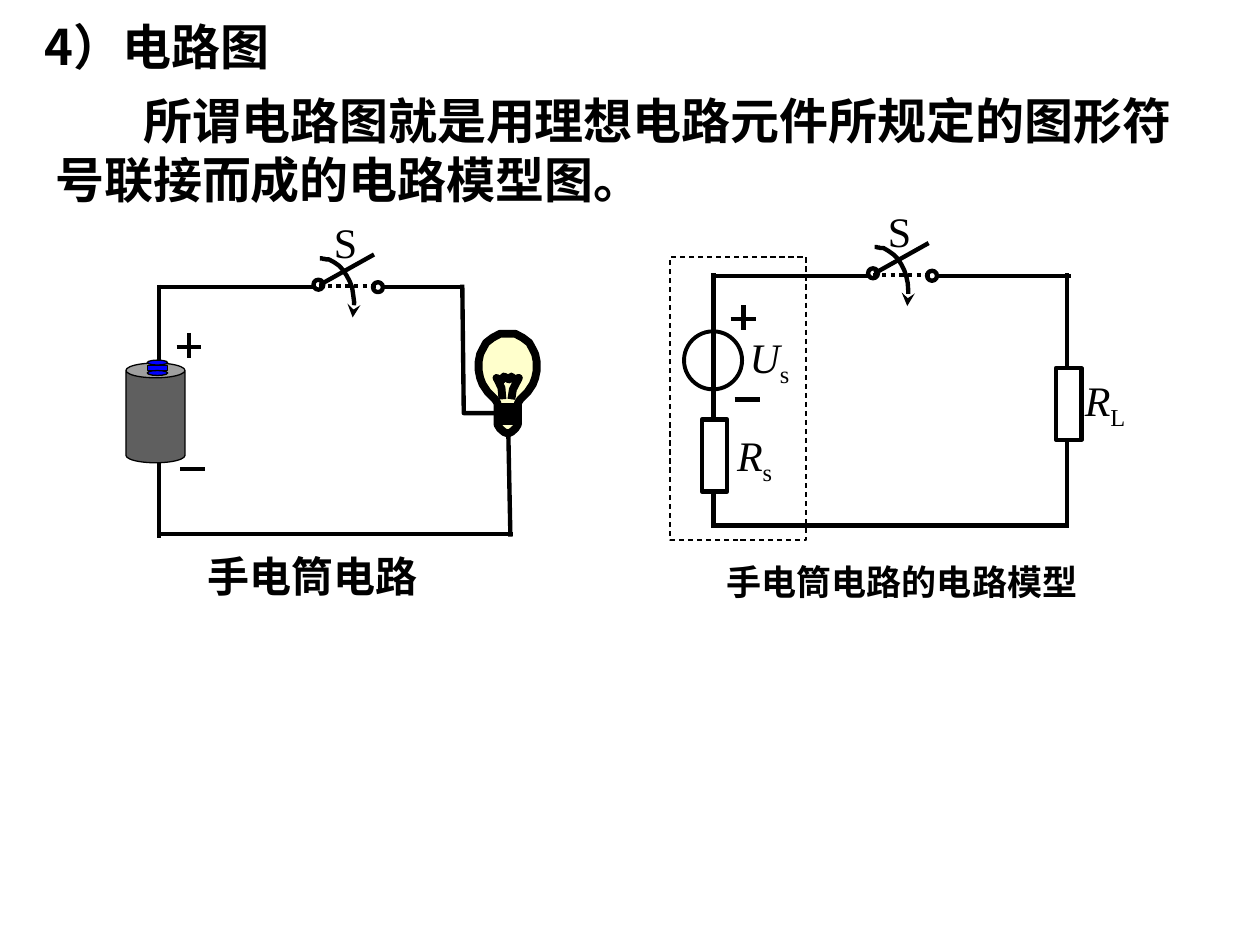
import pptx
import pptx.dml.color
import pptx.enum.dml
import pptx.enum.shapes
import pptx.enum.text
import pptx.oxml.ns
import pptx.util
from lxml import etree

COLORS = {"ink": "000000", "paper": "FFFFFF", "glass": "FFFFCC",
          "cell": "5F5F5F", "cap": "0000FF"}
SERIF, SANS = "Times New Roman", "Noto Sans CJK SC"
WIRE = 2.5
SHAPES = pptx.enum.shapes.MSO_SHAPE
DASHES = pptx.enum.dml.MSO_LINE

# Content; every position is in inches and becomes Cm in length()
TITLE = "4）电路图"
BODY = "所谓电路图就是用理想电路元件所规定的图形符号联接而成的电路模型图。"
CAPTIONS = [  # text, left, top, width, height, size
    ("手电筒电路", 1.55, 4.32, 2.06, 0.9, 24),
    ("手电筒电路的电路模型", 5.67, 4.4, 3.04, 0.77, 20),
]
SYMBOLS = [  # letter, subscript, left, top, width
    ("R", "s", 5.75, 3.36, 0.52),
    ("R", "L", 8.51, 2.92, 0.57),
    ("U", "s", 5.85, 2.58, 0.67),
]
TORCH_WIRES = [
    (1.25, 4.24, 4.07, 4.24), (1.26, 2.26, 1.26, 4.27),
    (1.25, 2.28, 2.5, 2.28), (3.04, 2.28, 3.68, 2.28),
]
MODEL_WIRES = [
    (5.65, 4.17, 8.47, 4.17), (5.66, 2.17, 5.66, 4.19),
    (5.65, 2.19, 6.9, 2.19), (7.44, 2.19, 8.5, 2.19), (8.47, 2.17, 8.47, 4.19),
]
LAMP_WIRE = [(3.67, 2.26), (3.68, 3.28), (4.03, 3.28), (4.05, 4.26)]
POLARITY = [(1.5, 2.75, 1.53, 3.72), (5.9, 2.53, 5.93, 3.17)]  # plus, minus centres
SWITCHES = [(2.53, 2.26), (6.93, 2.17)]  # left terminal centres
RESISTORS = [(5.57, 3.33), (8.38, 2.92)]
BULB_CENTER = 4.03
BULB_SIDE = [  # offset from the axis, height; from bottom to top
    (0, 3.44), (0.03, 3.43), (0.06, 3.4), (0.08, 3.37), (0.08, 3.2), (0.1, 3.17),
    (0.16, 3.11), (0.2, 3.05), (0.22, 3), (0.23, 2.94), (0.23, 2.87), (0.22, 2.81),
    (0.2, 2.77), (0.17, 2.72), (0.12, 2.68), (0.06, 2.65), (0, 2.65),
]
FILAMENT = [
    (3.99, 3.17), (3.98, 3.08), (3.95, 3.01), (3.94, 3), (3.98, 3.02), (4, 2.99),
    (4.04, 3.01), (4.06, 2.99), (4.08, 3.01), (4.12, 3), (4.07, 3.09), (4.06, 3.17),
]
SCREW_BASE = [
    (3.95, 3.23), (4.11, 3.23), (4.11, 3.27), (3.95, 3.27),
    (3.95, 3.31), (4.11, 3.31), (4.11, 3.34), (3.95, 3.34),
]
# Cubic segments of the switch's swing, relative to the left terminal
SWING = [
    [(0.01, -0.21), (0.03, -0.21), (0.05, -0.2), (0.08, -0.2)],
    [(0.08, -0.2), (0.23, -0.14), (0.31, 0.05), (0.27, 0.26)],
]


def length(inches):
    return pptx.util.Cm(round(inches * 2.54, 2))


def color(name):
    return pptx.dml.color.RGBColor.from_string(COLORS[name])


def set_line(shape, width, dash=None):
    shape.line.color.rgb = color("ink")
    shape.line.width = pptx.util.Pt(width)
    if dash:
        shape.line.dash_style = dash


def set_fill(shape, name):
    if name:
        shape.fill.solid()
        shape.fill.fore_color.rgb = color(name)
    else:
        shape.fill.background()


def add_wire(slide, x1, y1, x2, y2, dash=None):
    wire = slide.shapes.add_connector(pptx.enum.shapes.MSO_CONNECTOR.STRAIGHT,
                                      *map(length, (x1, y1, x2, y2)))
    set_line(wire, WIRE, dash)
    etree.SubElement(wire._element.spPr, pptx.oxml.ns.qn("a:effectLst"))


def add_part(slide, kind, box, fill=None, width=WIRE, dash=None):
    part = slide.shapes.add_shape(kind, *map(length, box))
    part.shadow.inherit = False
    set_fill(part, fill)
    set_line(part, width, dash)
    return part


def add_outline(slide, points, fill=None, width=WIRE, close=False):
    points = [(length(x), length(y)) for x, y in points]
    builder = slide.shapes.build_freeform(*points[0])
    builder.add_line_segments(points[1:], close=close)
    outline = builder.convert_to_shape()
    outline.shadow.inherit = False
    set_fill(outline, fill)
    set_line(outline, width)
    return outline


def set_text(shape, box, runs, font, size, bold=False):
    shape.left, shape.top, shape.width, shape.height = map(length, box)
    frame = shape.text_frame
    frame.word_wrap = True
    frame.auto_size = pptx.enum.text.MSO_AUTO_SIZE.NONE
    frame.vertical_anchor = pptx.enum.text.MSO_ANCHOR.TOP
    paragraph = frame.paragraphs[0]
    paragraph.alignment = pptx.enum.text.PP_ALIGN.LEFT
    paragraph.space_before = pptx.util.Pt(0)
    for text in runs:
        paragraph.add_run().text = text
    paragraph.font.name = font
    paragraph.font.size = pptx.util.Pt(size)
    paragraph.font.bold = bold
    paragraph.font.color.rgb = color("ink")
    return paragraph


def add_text(slide, box, runs, font, size, bold=False):
    return set_text(slide.shapes.add_textbox(0, 0, 0, 0), box, runs, font, size, bold)


def curve_points(segments, steps=10):
    for a, b, c, d in segments:
        for step in range(steps + 1):
            t = step / steps
            weights = ((1 - t) ** 3, 3 * t * (1 - t) ** 2, 3 * t * t * (1 - t), t ** 3)
            yield tuple(sum(w * p[axis] for w, p in zip(weights, (a, b, c, d)))
                        for axis in (0, 1))


def add_switch(slide, x, y):
    add_wire(slide, x + 0.44, y - 0.24, x + 0.01, y)
    swing = add_outline(slide, [(x + dx, y + dy) for dx, dy in curve_points(SWING)])
    etree.SubElement(swing.line._get_or_add_ln(), pptx.oxml.ns.qn("a:tailEnd"),
                     type="stealth")
    for cx, cy in ((x, y), (x + 0.47, y + 0.02)):
        add_part(slide, SHAPES.OVAL, (cx - 0.04, cy - 0.04, 0.08, 0.08))
    add_wire(slide, x, y + 0.01, x + 0.46, y + 0.01, DASHES.ROUND_DOT)
    add_text(slide, (x + 0.02, y - 0.59, 0.5, 0.5), ["S"], SERIF, 24)


def add_polarity(slide, plus_x, plus_y, minus_x, minus_y):
    add_wire(slide, plus_x - 0.1, plus_y, plus_x + 0.1, plus_y)
    add_wire(slide, plus_x, plus_y - 0.11, plus_x, plus_y + 0.09)
    add_wire(slide, minus_x - 0.1, minus_y, minus_x + 0.1, minus_y)


def main():
    presentation = pptx.Presentation()
    presentation.slide_width, presentation.slide_height = length(10), length(7.5)
    slide = presentation.slides.add_slide(presentation.slide_layouts[1])

    # Heading and definition
    title, body = slide.placeholders
    set_text(title, (0.25, 0.08, 2.13, 0.57), [TITLE], SANS, 28, True)
    properties = body.text_frame.paragraphs[0]._p.get_or_add_pPr()
    properties.set("marL", "0")
    properties.set("indent", str(length(0.7)))
    etree.SubElement(properties, pptx.oxml.ns.qn("a:buNone"))
    set_text(body, (0.34, 0.67, 9.38, 1.04), [BODY], SERIF, 28, True)

    # Wires, switches and signs of both circuits
    for wire in TORCH_WIRES + MODEL_WIRES:
        add_wire(slide, *wire)
    add_outline(slide, LAMP_WIRE)
    for switch in SWITCHES:
        add_switch(slide, *switch)
    for signs in POLARITY:
        add_polarity(slide, *signs)

    # Bulb
    right = [(BULB_CENTER + dx, y) for dx, y in BULB_SIDE]
    left = [(BULB_CENTER - dx, y) for dx, y in BULB_SIDE[-2:0:-1]]
    add_outline(slide, right + left, "glass", 4.5, close=True)
    for strokes in (FILAMENT, SCREW_BASE):
        add_outline(slide, strokes, width=4.5)

    # Battery
    add_part(slide, SHAPES.CAN, (1, 2.88, 0.47, 0.79), "cell", 0.75)
    for row, kind in enumerate((SHAPES.OVAL, SHAPES.RECTANGLE, SHAPES.OVAL)):
        add_part(slide, kind, (1.17, 2.86 + 0.04 * row, 0.16, 0.04), "cap", 0.75)

    # Source and resistors of the model
    for x, y in RESISTORS:
        add_part(slide, SHAPES.RECTANGLE, (x, y, 0.2, 0.57), "paper")
    add_part(slide, SHAPES.OVAL, (5.43, 2.63, 0.46, 0.46), width=2.25)
    add_part(slide, SHAPES.RECTANGLE, (5.32, 2.04, 1.08, 2.25),
             width=0.75, dash=DASHES.DASH)

    # Symbols and captions
    for letter, subscript, x, y, width in SYMBOLS:
        paragraph = add_text(slide, (x, y, width, 0.56), [letter, subscript], SERIF, 24)
        paragraph.runs[0].font.italic = True
        paragraph.runs[1]._r.get_or_add_rPr().set("baseline", "-25000")
    for text, *box, size in CAPTIONS:
        add_text(slide, box, [text], SANS, size, True)

    presentation.save("out.pptx")


if __name__ == "__main__":
    main()
